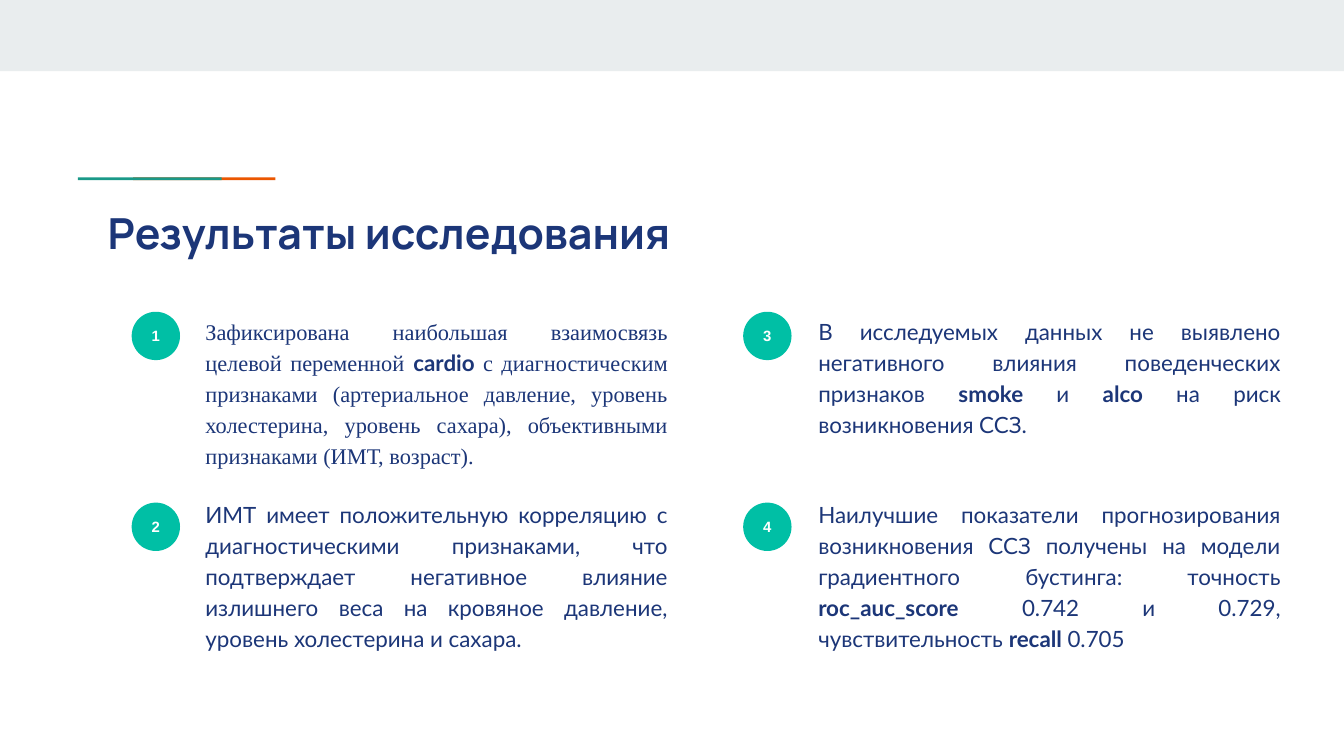
import pptx
import pptx.util
import pptx.dml.color
import pptx.enum.shapes
import pptx.enum.text

Inches = pptx.util.Inches
Align = pptx.enum.text.PP_ALIGN
Anchor = pptx.enum.text.MSO_ANCHOR
Shape = pptx.enum.shapes.MSO_SHAPE

NAVY, GREEN, WHITE = "1C3678", "00BFA5", "FFFFFF"
TITLE = "Результаты исследования"

# Each finding: body font, box height, runs as (text, bold)
FINDINGS = [
    ("Times New Roman", 1.31, [
        ("Зафиксирована наибольшая взаимосвязь целевой переменной ", False),
        ("cardio ", True),
        ("с диагностическим признаками (артериальное давление, уровень "
         "холестерина, уровень сахара), объективными признаками "
         "(ИМТ, возраст).", False)]),
    ("Lato", 1.31, [
        ("ИМТ имеет положительную корреляцию с диагностическими признаками, "
         "что подтверждает негативное влияние излишнего веса на кровяное "
         "давление, уровень холестерина и сахара.", False)]),
    ("Lato", 1.15, [
        ("В исследуемых данных не выявлено негативного влияния "
         "поведенческих признаков ", False),
        ("smoke ", True), ("и ", False), ("alco ", True),
        ("на риск возникновения ССЗ.", False)]),
    ("Lato", 1.15, [
        ("Наилучшие показатели прогнозирования возникновения ССЗ получены на "
         "модели градиентного бустинга: точность ", False),
        ("roc_auc_score ", True),
        ("0.742 и 0.729, чувствительность ", False),
        ("recall ", True), ("0.705", False)]),
]

# Decoration: left, top, width, height, colour
BARS = [
    (0, 0, 10, 0.53, "E9EDEE"),
    (0.99, 1.32, 1.06, 0.02, "EB5600"),
    (0.58, 1.32, 1.07, 0.02, "1A9988"),
]

COLUMNS = [(0.98, 1.43), (5.53, 5.99)]  # badge left, text left
ROWS = [(2.32, 2.24), (3.74, 3.6)]      # badge top, text top
BADGE_SIZE, TEXT_WIDTH = 0.36, 3.64


def color(value):
    """Turn a hex string into a colour."""
    return pptx.dml.color.RGBColor.from_string(value)


def add_span(para, text, size, font, fill, bold=False):
    """Append one formatted run to a paragraph."""
    span = para.add_run()
    span.text = text
    span.font.size = pptx.util.Pt(size)
    span.font.name = font
    span.font.bold = bold
    span.font.color.rgb = color(fill)


def set_frame(frame, anchor, inset_x, inset_y):
    """Set wrapping, anchor and insets of a text frame."""
    frame.word_wrap = True
    frame.auto_size = pptx.enum.text.MSO_AUTO_SIZE.NONE
    frame.vertical_anchor = anchor
    frame.margin_left = frame.margin_right = Inches(inset_x)
    frame.margin_top = frame.margin_bottom = Inches(inset_y)


def add_filled(page, kind, left, top, width, height, fill):
    """Add a flat shape without outline or shadow."""
    shape = page.shapes.add_shape(
        kind, Inches(left), Inches(top), Inches(width), Inches(height))
    shape.shadow.inherit = False
    shape.fill.solid()
    shape.fill.fore_color.rgb = color(fill)
    shape.line.fill.background()
    return shape


def add_title(page):
    """Place and format the title placeholder."""
    title = page.shapes.title
    title.left, title.top = Inches(0.8), Inches(1.44)
    title.width, title.height = Inches(8.41), Inches(0.59)
    set_frame(title.text_frame, Anchor.TOP, 0, 0.1)
    para = title.text_frame.paragraphs[0]
    para.alignment = Align.LEFT
    add_span(para, TITLE, 22.9, "Manrope", NAVY, True)


def add_badge(page, left, top, number):
    """Add a numbered circle."""
    badge = add_filled(page, Shape.OVAL, left, top, BADGE_SIZE, BADGE_SIZE, GREEN)
    set_frame(badge.text_frame, Anchor.MIDDLE, 0, 0)
    para = badge.text_frame.paragraphs[0]
    para.alignment = Align.CENTER
    add_span(para, str(number), 8, "Arial", WHITE, True)


def add_finding(page, left, top, height, font, runs):
    """Add a justified paragraph whose key terms are bold Lato."""
    box = page.shapes.add_textbox(
        Inches(left), Inches(top), Inches(TEXT_WIDTH), Inches(height))
    set_frame(box.text_frame, Anchor.TOP, 0.1, 0.1)
    para = box.text_frame.paragraphs[0]
    para.alignment = Align.JUSTIFY
    para.line_spacing = 1.15
    for text, bold in runs:
        add_span(para, text, 12, "Lato" if bold else font, NAVY, bold)


deck = pptx.Presentation()
deck.slide_width, deck.slide_height = Inches(10), Inches(10 * 9 / 16)
page = deck.slides.add_slide(deck.slide_layouts[5])

for *place, fill in BARS:
    add_filled(page, Shape.RECTANGLE, *place, fill)
add_title(page)
for index, (font, height, runs) in enumerate(FINDINGS):
    column, row = divmod(index, len(ROWS))
    badge_left, text_left = COLUMNS[column]
    badge_top, text_top = ROWS[row]
    add_finding(page, text_left, text_top, height, font, runs)
    add_badge(page, badge_left, badge_top, index + 1)

deck.save("out.pptx")
